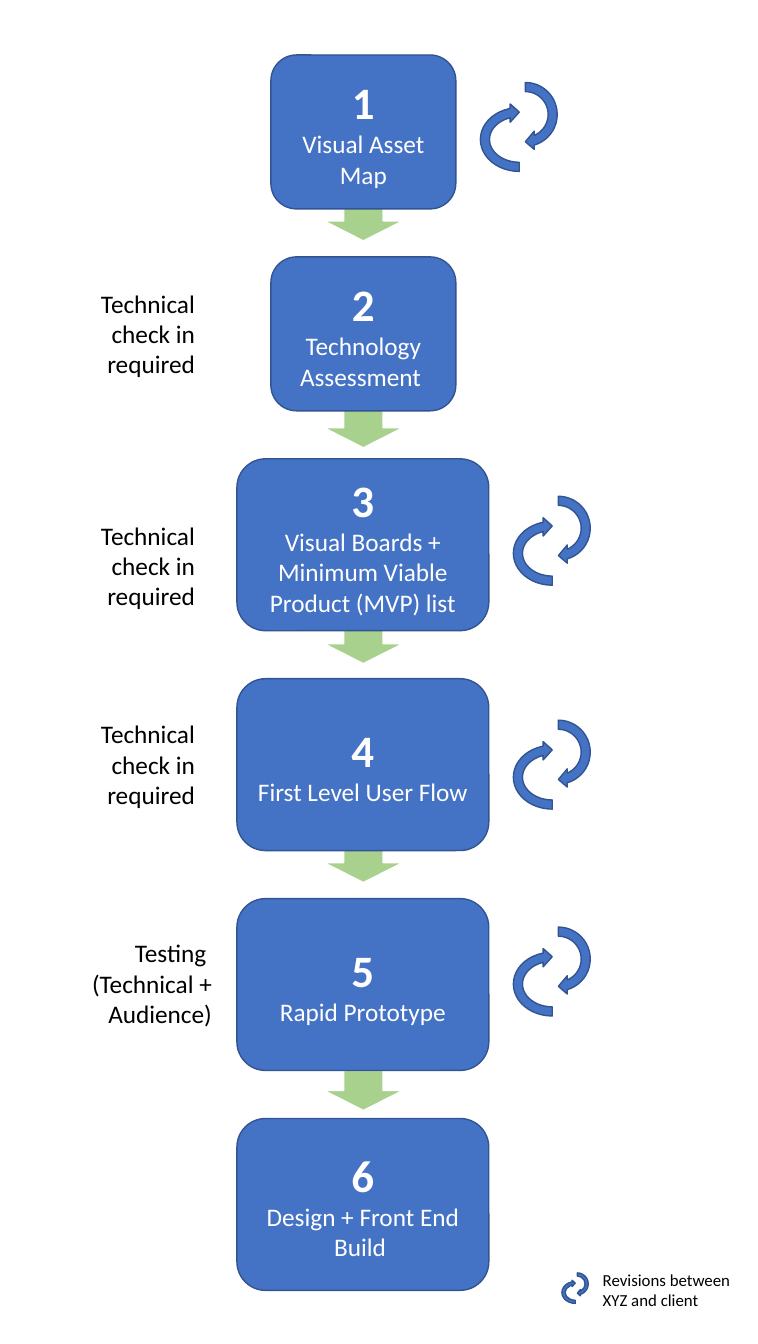
from copy import deepcopy
from dataclasses import dataclass
from typing import Optional

from pptx import Presentation
from pptx.dml.color import RGBColor as RGB
from pptx.enum.shapes import MSO_SHAPE as SHAPE
from pptx.enum.text import MSO_ANCHOR as ANCHOR, MSO_AUTO_SIZE as AUTO, PP_ALIGN as ALIGN
from pptx.oxml.ns import qn
from pptx.util import Emu, Inches, Pt

PX = 914400 / 101.1
COLORS = {"box": "4472C4", "outline": "325491", "arrow": "A9D18E",
          "white": "FFFFFF", "black": "000000"}
NUMBER = {"size": Pt(32), "bold": True, "name": "Calibri"}
BODY = {"size": Pt(18), "bold": False, "name": "Calibri"}
LEGEND = {**BODY, "size": Pt(12)}

CENTER_X, TOP, GAP = 363, 55, 48
SMALL, LARGE = (185, 154), (252, 172)
ARROW_W, ARROW_H = 79, 40
CYCLE = 73
CHECK_IN = "Technical\vcheck in\vrequired"


@dataclass
class Step:
    """One stage; arrow_dy is the arrow's offset from the box bottom."""
    label: str
    size: tuple[int, int]
    arrow_dy: Optional[int] = None
    cycle: Optional[tuple[int, int]] = None


@dataclass
class Note:
    """A text box beside the flow, one string per paragraph."""
    lines: list[str]
    box: tuple[int, int, int, int]
    align: ALIGN = ALIGN.RIGHT
    fmt: Optional[dict] = None


STEPS = [
    Step("Visual Asset Map", SMALL, -8, (489, 78)),
    Step("Technology Assessment ", SMALL, -3),
    Step("Visual Boards + Minimum Viable Product (MVP) list", LARGE, -7, (522, 492)),
    Step("First Level User Flow", LARGE, -8, (522, 716)),
    Step("Rapid Prototype", LARGE, 0, (522, 923)),
    Step("Design + Front End Build ", LARGE),
]
NOTES = [Note([CHECK_IN], (45, y, 160, 102)) for y in (283, 515, 714)] + [
    Note(["Testing ", "(Technical + Audience)"], (62, 933, 160, 102)),
    Note(["Revisions between \vXYZ and client"], (593, 1265, 165, 50), ALIGN.LEFT, LEGEND),
]


def px(*values: float) -> list[Emu]:
    """Turn pixels into EMU."""
    return [Emu(round(v * PX)) for v in values]


def add_shape(shapes, kind: SHAPE, box: tuple, fill: str = "box",
              line: str = "outline", rotation: int = 0):
    """Draw a filled, outlined preset shape without a shadow."""
    sp = shapes.add_shape(kind, *px(*box))
    sp.shadow.inherit = False
    sp.rotation = rotation
    sp.fill.solid()
    sp.fill.fore_color.rgb = RGB.from_string(COLORS[fill])
    sp.line.color.rgb = RGB.from_string(COLORS[line])
    sp.line.width = Pt(1)
    return sp


def write(tf, lines: list[tuple[str, dict]], color: str, align: ALIGN) -> None:
    """Fill a text frame with one formatted paragraph per line."""
    tf.word_wrap = True
    for i, (text, fmt) in enumerate(lines):
        p = tf.add_paragraph() if i else tf.paragraphs[0]
        p.text = text
        p.alignment = align
        for r in p.runs:
            for key, value in fmt.items():
                setattr(r.font, key, value)
            r.font.color.rgb = RGB.from_string(COLORS[color])
        for br in p._p.findall(qn("a:br")):
            br.append(deepcopy(p.runs[0]._r.rPr))


def add_cycle(shapes, x: int, y: int, size: int = CYCLE) -> None:
    """Draw the grouped pair of circular revision arrows."""
    group = shapes.add_group_shape().shapes
    k = size / CYCLE
    add_shape(group, SHAPE.CIRCULAR_ARROW, (x, y, size, size), rotation=90)
    add_shape(group, SHAPE.CIRCULAR_ARROW, (x - 6 * k, y + 18 * k, size, 87 * k),
              rotation=270)


def add_step(shapes, number: int, step: Step, y: int) -> None:
    """Draw a numbered box and its revision cycle."""
    w, h = step.size
    sp = add_shape(shapes, SHAPE.ROUNDED_RECTANGLE, (CENTER_X - w // 2, y, w, h))
    sp.text_frame.vertical_anchor = ANCHOR.MIDDLE
    write(sp.text_frame, [(str(number), NUMBER), (step.label, BODY)],
          "white", ALIGN.CENTER)
    if step.cycle:
        add_cycle(shapes, *step.cycle)


def add_note(shapes, note: Note) -> None:
    """Draw a note's text box."""
    tf = shapes.add_textbox(*px(*note.box)).text_frame
    tf.auto_size = AUTO.SHAPE_TO_FIT_TEXT
    write(tf, [(line, note.fmt or BODY) for line in note.lines], "black", note.align)


prs = Presentation()
prs.slide_width, prs.slide_height = Inches(7.5), Inches(13.3)
shapes = prs.slides.add_slide(prs.slide_layouts[6]).shapes

tops = [TOP]
for step in STEPS[:-1]:
    tops.append(tops[-1] + step.size[1] + GAP)

for step, y in zip(STEPS, tops):
    if step.arrow_dy is not None:
        arrow_y = y + step.size[1] + step.arrow_dy
        add_shape(shapes, SHAPE.DOWN_ARROW,
                  (CENTER_X - ARROW_W // 2, arrow_y, ARROW_W, ARROW_H),
                  "arrow", "white")
for number, (step, y) in enumerate(zip(STEPS, tops), 1):
    add_step(shapes, number, step, y)
for note in NOTES:
    add_note(shapes, note)
add_cycle(shapes, 565, 1272, 25)

prs.save("out.pptx")
